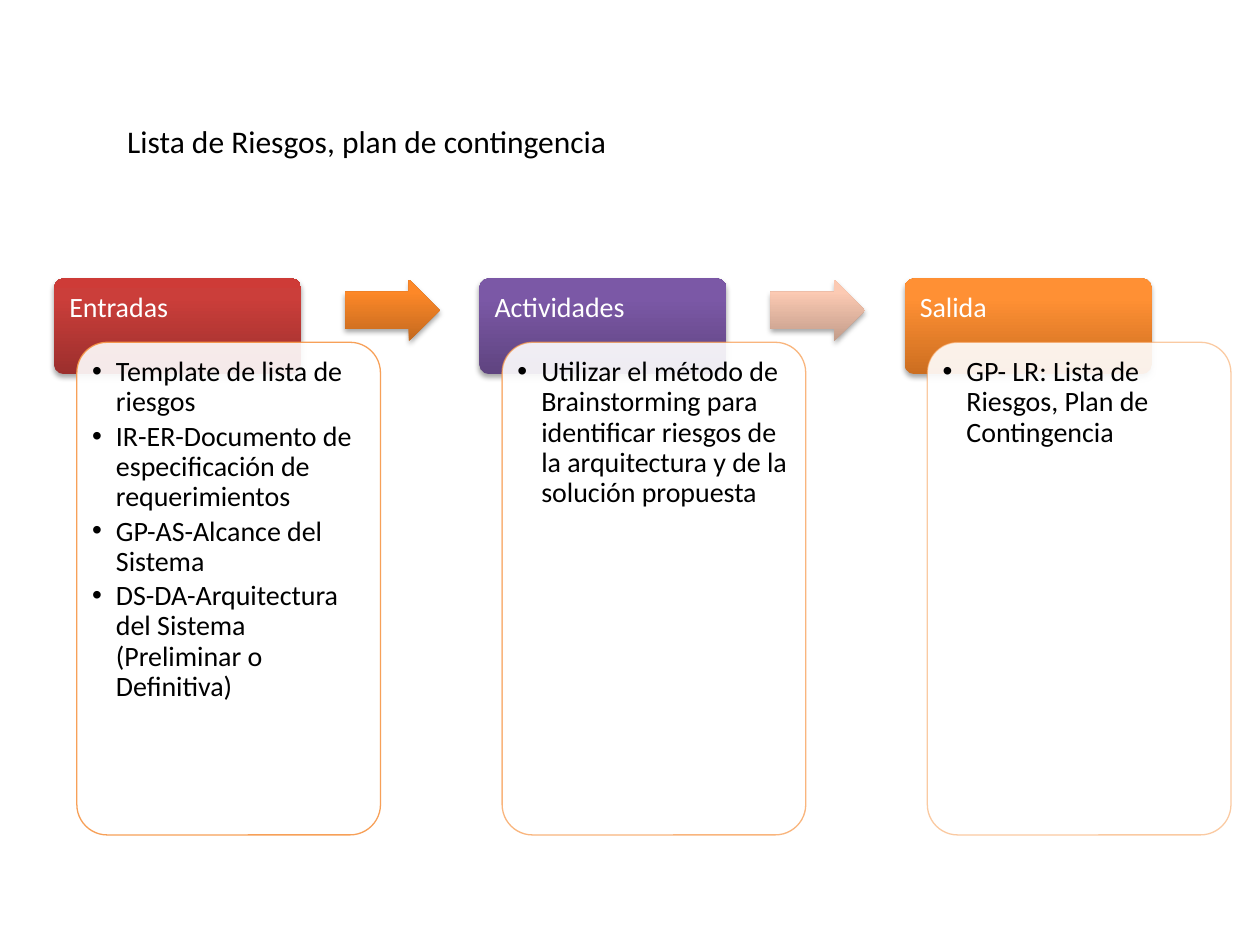
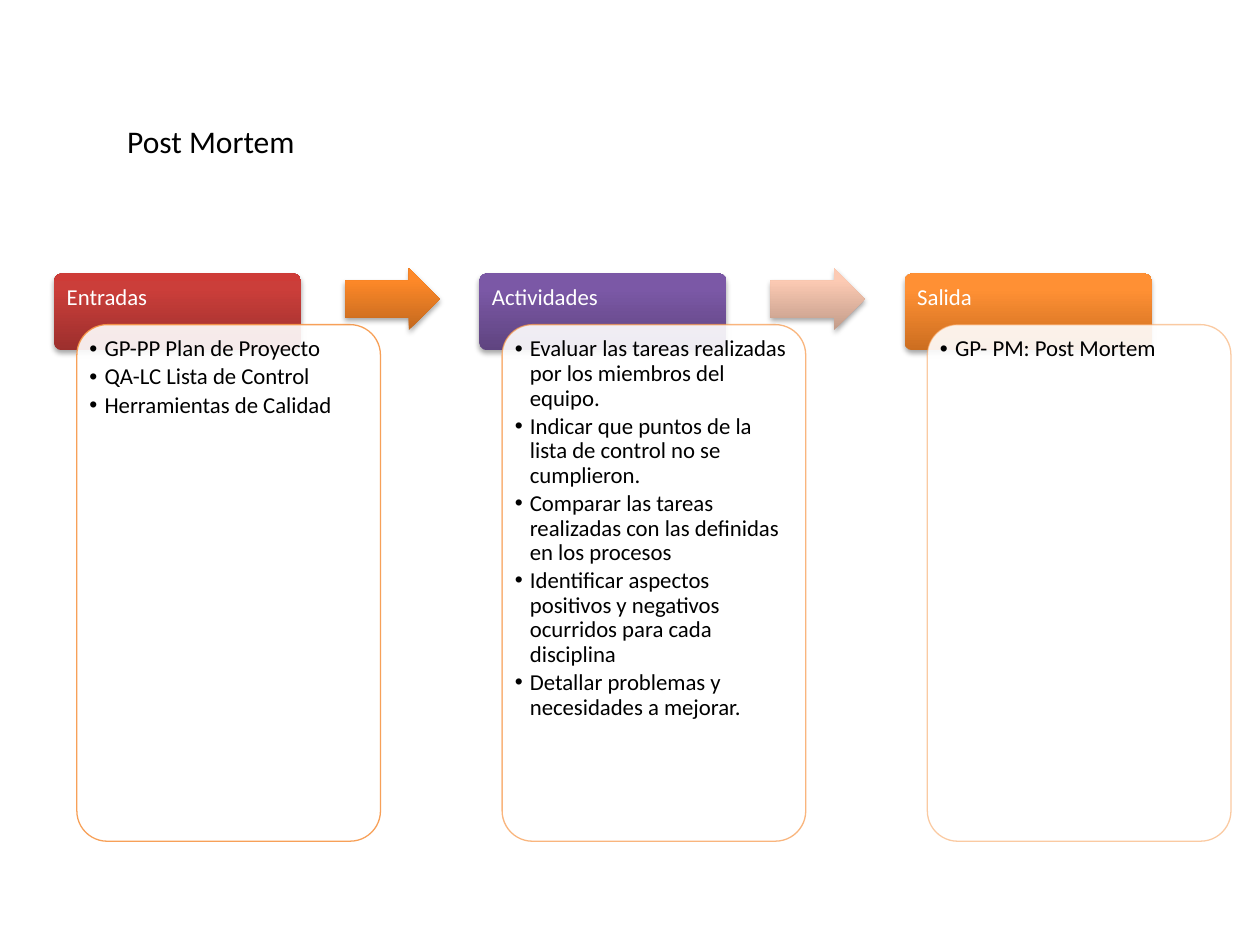
"""Build two process slides, each with inputs, activities and outputs."""
from dataclasses import dataclass

from lxml import etree
from pptx import Presentation
from pptx import util as u
from pptx.dml.color import RGBColor
from pptx.enum import shapes, text
from pptx.oxml.ns import qn

HEADS = ["Entradas", "Actividades", "Salida"]
SLIDES = [
    {
        "title": "Lista de Riesgos, plan de contingencia",
        "size": 16, "inset": 0.12, "indent": 0.19,
        "top": 2.21, "head": 0.76, "card": 3.91,
        "lists": [
            ["Template de lista de riesgos",
             "IR-ER-Documento de especificación de requerimientos",
             "GP-AS-Alcance del Sistema",
             "DS-DA-Arquitectura del Sistema (Preliminar o Definitiva)"],
            ["Utilizar el método de Brainstorming para identificar riesgos "
             "de la arquitectura y de la solución propuesta"],
            ["GP- LR: Lista de Riesgos, Plan de Contingencia"],
        ],
    },
    {
        "title": "Post Mortem",
        "size": 13, "inset": 0.1, "indent": 0.12,
        "top": 2.17, "head": 0.61, "card": 4.1,
        "lists": [
            ["GP-PP Plan de Proyecto",
             "QA-LC Lista de Control",
             "Herramientas de Calidad"],
            ["Evaluar las tareas realizadas por los miembros del equipo.",
             "Indicar que puntos de la lista de control no se cumplieron.",
             "Comparar las tareas realizadas con las definidas en los procesos",
             "Identificar aspectos positivos y negativos ocurridos para cada disciplina",
             "Detallar problemas y necesidades a mejorar."],
            ["GP- PM: Post Mortem"],
        ],
    },
]


@dataclass(frozen=True)
class Theme:
    """Colours, font and type sizes."""
    font: str = "Calibri"
    title: int = 18
    dark: str = "000000"
    light: str = "FFFFFF"
    edge: str = "F79646"
    heads: tuple = (("9C2F2D", "CB3E3A", "CE3B37"),
                    ("5F4480", "7B58A6", "7C57A8"),
                    ("CC6E20", "FF9034", "FF9136"))
    arrows: tuple = (("C3691F", "FD8828", "FF8928"),
                     ("C29C8A", "FCCAB3", "FECAB2"))
    fades: tuple = (90, 70, 50)


THEME = Theme()
KIND = shapes.MSO_SHAPE
LEFT, PITCH = 0.43, 6.75 / 2
HEAD_W, CARD_W, CARD_DX = 1.96, 2.41, 0.18
ARROW_W, ARROW_H, ARROW_DX = 0.75, 0.49, 2.31
ROUND = 0.1
CORNER = 0.29 * ROUND


def sub(node, tag, **attrs):
    """Append a child element with the given attributes."""
    return etree.SubElement(node, qn(tag), {k: str(v) for k, v in attrs.items()})


def fade(fill, hue, alpha):
    """Give a solid fill a colour and an opacity in percent."""
    fill.solid()
    fill.fore_color.rgb = RGBColor.from_string(hue)
    node = fill._xPr.find(qn("a:solidFill"))[0]
    sub(node, "a:alpha", val=alpha * 1000)


def add_form(slide, kind, box, adjust):
    """Add a preset shape without inherited shadow."""
    form = slide.shapes.add_shape(kind, *map(u.Inches, box))
    for i, value in enumerate(adjust):
        form.adjustments[i] = value
    form.shadow.inherit = False
    return form


def shade(form, hues):
    """Apply an upward three-stop gradient and a soft drop shadow."""
    form.line.fill.background()
    form.fill.gradient()
    form.fill.gradient_angle = 90
    props = form._element.spPr
    stops = props.find(qn("a:gradFill")).find(qn("a:gsLst"))
    for old in list(stops):
        stops.remove(old)
    for pos, hue in zip((0, 80, 100), hues):
        sub(sub(stops, "a:gs", pos=pos * 1000), "a:srgbClr", val=hue)
    drop = sub(props.find(qn("a:effectLst")), "a:outerShdw", blurRad=u.Pt(3.1),
               dist=u.Pt(1.8), dir=5400000, rotWithShape=0)
    sub(sub(drop, "a:srgbClr", val=THEME.dark), "a:alpha", val=35000)


def add_run(para, words, size, hue):
    """Add one styled run."""
    run = para.add_run()
    run.text = words
    run.font.name = THEME.font
    run.font.size = u.Pt(size)
    run.font.color.rgb = RGBColor.from_string(hue)


def write(form, lines, data, hue, indent=0):
    """Fill a rounded shape with paragraphs, bulleted when indented."""
    frame = form.text_frame
    frame.word_wrap = True
    frame.vertical_anchor = text.MSO_ANCHOR.TOP
    pad = u.Inches(data["inset"]) - int(CORNER * min(form.width, form.height))
    frame.margin_left = frame.margin_right = pad
    frame.margin_top = frame.margin_bottom = pad
    for i, line in enumerate(lines):
        para = frame.add_paragraph() if i else frame.paragraphs[0]
        para.alignment = text.PP_ALIGN.LEFT
        para.line_spacing = 0.9
        para.space_after = u.Pt(0.15 * data["size"])
        if indent:
            props = para._p.get_or_add_pPr()
            props.set("marL", str(u.Inches(indent)))
            props.set("indent", str(-u.Inches(indent)))
            sub(props, "a:buFont", typeface="Arial")
            sub(props, "a:buChar", char="•")
        add_run(para, line, data["size"], hue)


def add_title(slide, words):
    """Move and style the title placeholder."""
    title = slide.shapes.title
    title.left, title.top, title.width, title.height = map(
        u.Inches, (0.91, 0.92, 4.8, 0.4))
    frame = title.text_frame
    frame.word_wrap = True
    frame.auto_size = text.MSO_AUTO_SIZE.SHAPE_TO_FIT_TEXT
    frame.vertical_anchor = text.MSO_ANCHOR.TOP
    para = frame.paragraphs[0]
    para.alignment = text.PP_ALIGN.LEFT
    add_run(para, words, THEME.title, THEME.dark)


def add_step(slide, data, i):
    """Draw one column: header, list card and the arrow to the next."""
    left, top = LEFT + i * PITCH, data["top"]
    shown = data["head"] * 2 / 3
    head = add_form(slide, KIND.ROUNDED_RECTANGLE,
                    (left, top, HEAD_W, data["head"]), [ROUND])
    shade(head, THEME.heads[i])
    write(head, [HEADS[i]], data, THEME.light)

    card = add_form(slide, KIND.ROUNDED_RECTANGLE,
                    (left + CARD_DX, top + shown, CARD_W, data["card"]), [ROUND])
    fade(card.fill, THEME.light, 90)
    card.line.width = u.Pt(0.75)
    fade(card.line.fill, THEME.edge, THEME.fades[i])
    write(card, data["lists"][i], data, THEME.dark, data["indent"])

    if i < len(THEME.arrows):
        mid = top + shown / 2
        arrow = add_form(slide, KIND.RIGHT_ARROW,
                         (left + ARROW_DX, mid - ARROW_H / 2, ARROW_W, ARROW_H),
                         [0.6, 0.5])
        shade(arrow, THEME.arrows[i])


def main():
    """Build and save the deck."""
    deck = Presentation()
    deck.slide_width, deck.slide_height = u.Inches(10), u.Inches(7.5)
    for data in SLIDES:
        slide = deck.slides.add_slide(deck.slide_layouts[5])
        add_title(slide, data["title"])
        for i in range(len(HEADS)):
            add_step(slide, data, i)
    deck.save("out.pptx")


if __name__ == "__main__":
    main()
